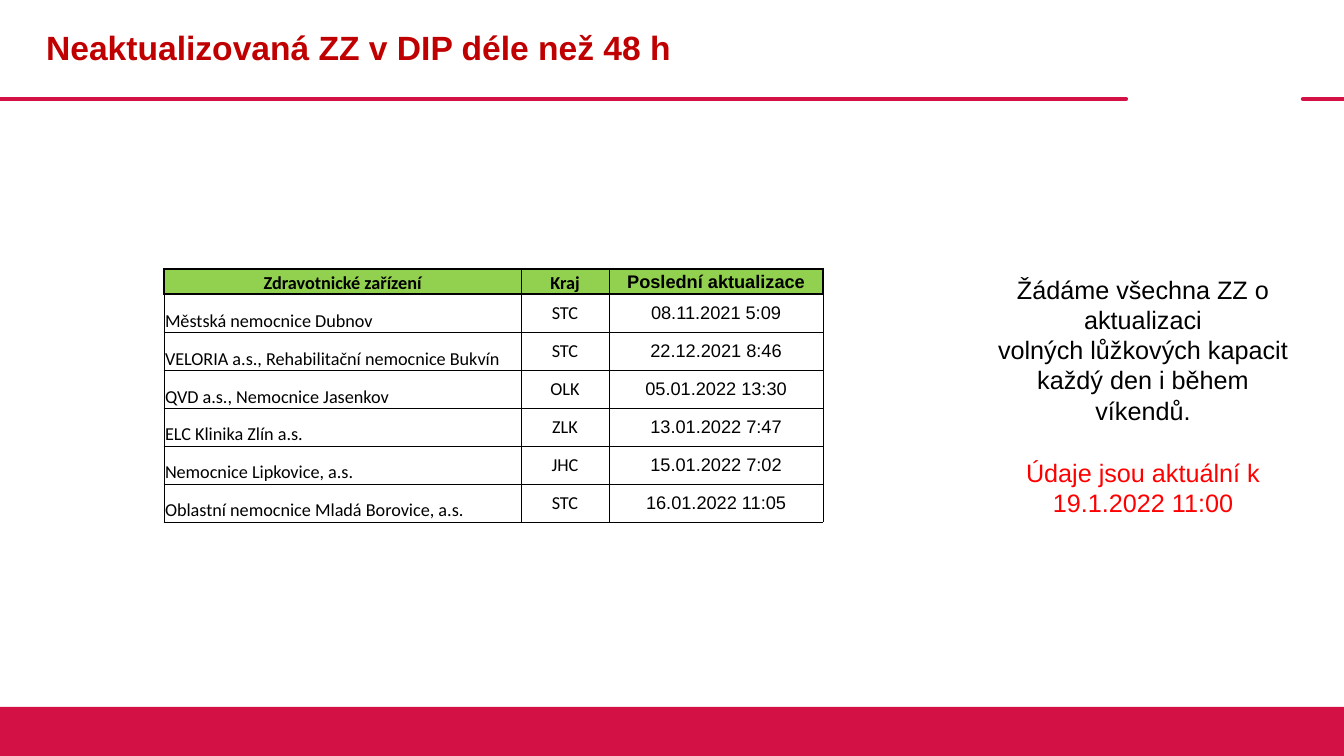
from dataclasses import dataclass

from lxml import etree
from pptx import Presentation
from pptx.dml.color import RGBColor
from pptx.enum.shapes import MSO_CONNECTOR, MSO_SHAPE
from pptx.enum.text import MSO_ANCHOR, MSO_AUTO_SIZE, PP_ALIGN
from pptx.oxml.ns import qn
from pptx.util import Emu, Pt

EMU_PER_PX = 12192000 / 1344


@dataclass(frozen=True)
class Theme:
    crimson: str = "D31145"
    title_red: str = "C00000"
    alert_red: str = "FF0000"
    black: str = "000000"
    white: str = "FFFFFF"
    header_green: str = "92D050"
    sans: str = "Arial"
    table_sans: str = "Calibri"
    title_size: int = 24
    note_size: int = 18
    table_size: int = 13
    rule_width: int = 3
    thin: float = 0.5
    thick: float = 1


THEME = Theme()

HEADER = ("Zdravotnické zařízení", "Kraj", "Poslední aktualizace")
FACILITIES = (
    ("Městská nemocnice Dubnov", "STC", "08.11.2021 5:09"),
    ("VELORIA a.s., Rehabilitační nemocnice Bukvín", "STC", "22.12.2021 8:46"),
    ("QVD a.s., Nemocnice Jasenkov", "OLK", "05.01.2022 13:30"),
    ("ELC Klinika Zlín a.s.", "ZLK", "13.01.2022 7:47"),
    ("Nemocnice Lipkovice, a.s.", "JHC", "15.01.2022 7:02"),
    ("Oblastní nemocnice Mladá Borovice, a.s.", "STC", "16.01.2022 11:05"),
)
COLUMN_WIDTHS = (357, 88, 214)
COLUMN_FONTS = (THEME.table_sans, THEME.table_sans, THEME.sans)
COLUMN_ANCHORS = (MSO_ANCHOR.BOTTOM, MSO_ANCHOR.BOTTOM, MSO_ANCHOR.MIDDLE)
HEADER_HEIGHT, ROW_HEIGHT = 25, 38


def px(length):
    return Emu(round(length * EMU_PER_PX))


def rgb(color):
    return RGBColor.from_string(color)


def write(frame, *lines, font=THEME.sans, size=THEME.note_size, color=THEME.black,
          bold=False, align=PP_ALIGN.CENTER, spacing=None):
    """Fill a text frame with one paragraph per line."""
    for index, line in enumerate(lines):
        paragraph = frame.add_paragraph() if index else frame.paragraphs[0]
        paragraph.alignment = align
        paragraph.line_spacing = spacing
        run = paragraph.add_run()
        run.text = line
        run.font.name = font
        run.font.size = Pt(size)
        run.font.bold = bold
        run.font.color.rgb = rgb(color)


def add_rule(slide, left, right, y):
    rule = slide.shapes.add_connector(
        MSO_CONNECTOR.STRAIGHT, px(left), px(y), px(right), px(y))
    rule.line.color.rgb = rgb(THEME.crimson)
    rule.line.width = Pt(THEME.rule_width)
    rule.line._get_or_add_ln().set("cap", "rnd")
    etree.SubElement(rule._element.spPr, qn("a:effectLst"))


def add_footer_band(slide, top, width, height):
    band = slide.shapes.add_shape(MSO_SHAPE.RECTANGLE, 0, px(top), px(width), px(height))
    band.shadow.inherit = False
    band.fill.solid()
    band.fill.fore_color.rgb = rgb(THEME.crimson)
    band.line.fill.background()


def set_title(slide, text, left, top, width, height):
    title = slide.shapes.title
    title.left, title.top, title.width, title.height = map(px, (left, top, width, height))
    title.text_frame.vertical_anchor = MSO_ANCHOR.MIDDLE
    write(title.text_frame, text, size=THEME.title_size, color=THEME.title_red,
          bold=True, align=PP_ALIGN.LEFT, spacing=0.9)


def add_note(slide, lines, left, top, width, height, color=THEME.black):
    frame = slide.shapes.add_textbox(*map(px, (left, top, width, height))).text_frame
    frame.word_wrap = True
    frame.auto_size = MSO_AUTO_SIZE.SHAPE_TO_FIT_TEXT
    write(frame, *lines, color=color)


def set_borders(cell, left, right, top, bottom):
    """Draw the four cell edges, each with a width in points."""
    properties = cell._tc.get_or_add_tcPr()
    for side, width in zip("LRTB", (left, right, top, bottom)):
        edge = etree.SubElement(properties, qn(f"a:ln{side}"), w=str(Pt(width)))
        fill = etree.SubElement(edge, qn("a:solidFill"))
        etree.SubElement(fill, qn("a:srgbClr"), val=THEME.black)


def format_cell(cell, text, row, column):
    is_header = row == 0
    last_column = len(HEADER) - 1
    thin, thick = THEME.thin, THEME.thick
    set_borders(cell,
                left=thick if is_header and column == 0 else thin,
                right=thick if is_header and column == last_column else thin,
                top=thick if row <= 1 else thin,
                bottom=thick if is_header else thin)
    cell.fill.solid()
    cell.fill.fore_color.rgb = rgb(THEME.header_green if is_header else THEME.white)
    is_region = column == 1 and not is_header
    cell.margin_left = cell.margin_right = px(1)
    cell.margin_top = px(8 if is_region else 1)
    cell.margin_bottom = px(8 if is_region else 0)
    cell.vertical_anchor = COLUMN_ANCHORS[column]
    is_facility = column == 0 and not is_header
    write(cell.text_frame, text, font=COLUMN_FONTS[column], size=THEME.table_size,
          bold=is_header, align=PP_ALIGN.LEFT if is_facility else PP_ALIGN.CENTER)


def add_facility_table(slide, left, top):
    rows = (HEADER, *FACILITIES)
    height = HEADER_HEIGHT + ROW_HEIGHT * len(FACILITIES)
    table = slide.shapes.add_table(len(rows), len(HEADER), px(left), px(top),
                                   px(sum(COLUMN_WIDTHS)), px(height)).table
    table.horz_banding = False
    table.first_row = False
    for column, width in zip(table.columns, COLUMN_WIDTHS):
        column.width = px(width)
    for row_index, values in enumerate(rows):
        table.rows[row_index].height = px(ROW_HEIGHT if row_index else HEADER_HEIGHT)
        for column_index, value in enumerate(values):
            format_cell(table.cell(row_index, column_index), value, row_index, column_index)


def main():
    presentation = Presentation()
    presentation.slide_width, presentation.slide_height = px(1344), px(756)
    slide = presentation.slides.add_slide(presentation.slide_layouts[5])

    add_rule(slide, 0, 1126, 99)
    add_rule(slide, 1303, 1344, 99)
    add_footer_band(slide, 707, 1344, 49)
    set_title(slide, "Neaktualizovaná ZZ v DIP déle než 48 h", 36, 0, 1090, 99)
    add_note(slide, ["Údaje jsou aktuální k 19.1.2022 11:00"], 998, 452, 290, 72,
             color=THEME.alert_red)
    add_note(slide, ["Žádáme všechna ZZ o aktualizaci", "volných lůžkových kapacit",
                     "každý den i během víkendů."], 980, 269, 326, 163)
    add_facility_table(slide, 164, 269)

    presentation.save("out.pptx")


if __name__ == "__main__":
    main()
